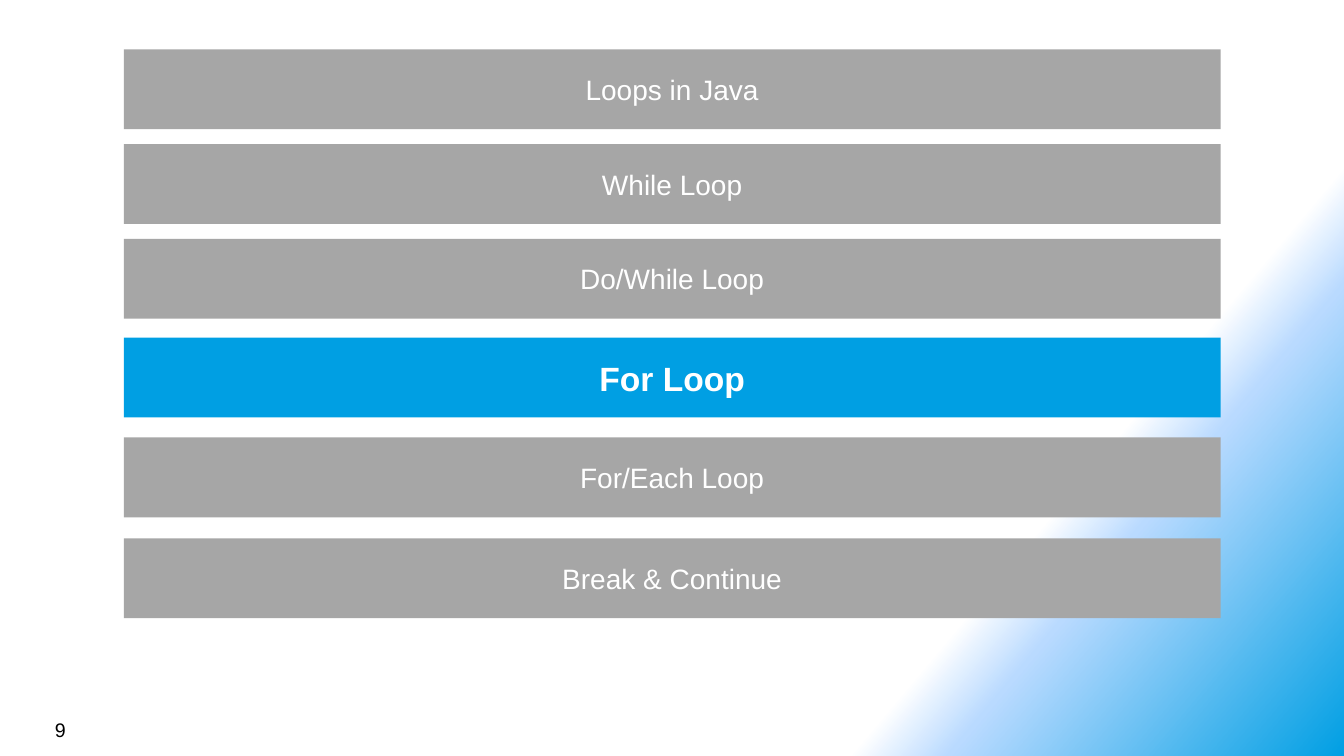
from lxml.etree import SubElement
from pptx import Presentation
from pptx.dml.color import RGBColor
from pptx.enum.shapes import MSO_SHAPE
from pptx.enum.text import MSO_ANCHOR, PP_ALIGN
from pptx.oxml.ns import qn
from pptx.util import Pt

COLORS = {
    "gray": "A6A6A6",
    "blue": "009FE3",
    "pale": "B9DAFF",
    "white": "FFFFFF",
    "black": "000000",
}
# Topic and top edge in points
TOPICS = [
    ("Loops in Java", 35.3),
    ("While Loop", 103),
    ("Do/While Loop", 170.6),
    ("For Loop", 241.2),
    ("For/Each Loop", 312.5),
    ("Break & Continue", 384.5),
]
CURRENT = "For Loop"
# Position, colour and opacity, both in percent
STOPS = [(75, "white", 100), (80, "pale", 50), (100, "blue", 100)]


def color(name):
    return RGBColor.from_string(COLORS[name])


def write(shape, text, size=20, ink="white", bold=False,
          align=PP_ALIGN.CENTER, anchor=MSO_ANCHOR.MIDDLE):
    frame = shape.text_frame
    frame.word_wrap = True
    frame.vertical_anchor = anchor
    para = frame.paragraphs[0]
    para.alignment = align
    run = para.add_run()
    run.text = text
    font = run.font
    font.name = "Arial"
    font.size = Pt(size)
    font.bold = bold
    font.color.rgb = color(ink)


def paint(slide):
    """Fill the background with a diagonal gradient."""
    fill = slide.background.fill
    fill.gradient()
    fill.gradient_angle = 360 - 40
    stops = next(slide.element.iter(qn("a:gsLst")))
    for old in list(stops):
        stops.remove(old)
    for place, name, alpha in STOPS:
        stop = SubElement(stops, qn("a:gs"), pos=str(place * 1000))
        tone = SubElement(stop, qn("a:srgbClr"), val=COLORS[name])
        if alpha < 100:
            SubElement(tone, qn("a:alpha"), val=str(alpha * 1000))


def add_bar(slide, text, top, active):
    bar = slide.shapes.add_shape(
        MSO_SHAPE.RECTANGLE, Pt(88.4), Pt(top), Pt(783.4), Pt(57))
    bar.shadow.inherit = False
    bar.fill.solid()
    bar.fill.fore_color.rgb = color("blue" if active else "gray")
    bar.line.fill.background()
    write(bar, text, size=24 if active else 20, bold=active)


def add_number(slide, text):
    box = slide.shapes.add_textbox(Pt(32.2), Pt(509), Pt(224), Pt(24))
    write(box, text, size=14, ink="black",
          align=PP_ALIGN.LEFT, anchor=MSO_ANCHOR.TOP)


def main():
    deck = Presentation()
    deck.slide_width, deck.slide_height = Pt(960), Pt(540)
    slide = deck.slides.add_slide(deck.slide_layouts[6])
    paint(slide)
    for text, top in TOPICS:
        add_bar(slide, text, top, text == CURRENT)
    add_number(slide, "9")
    deck.save("out.pptx")


if __name__ == "__main__":
    main()
